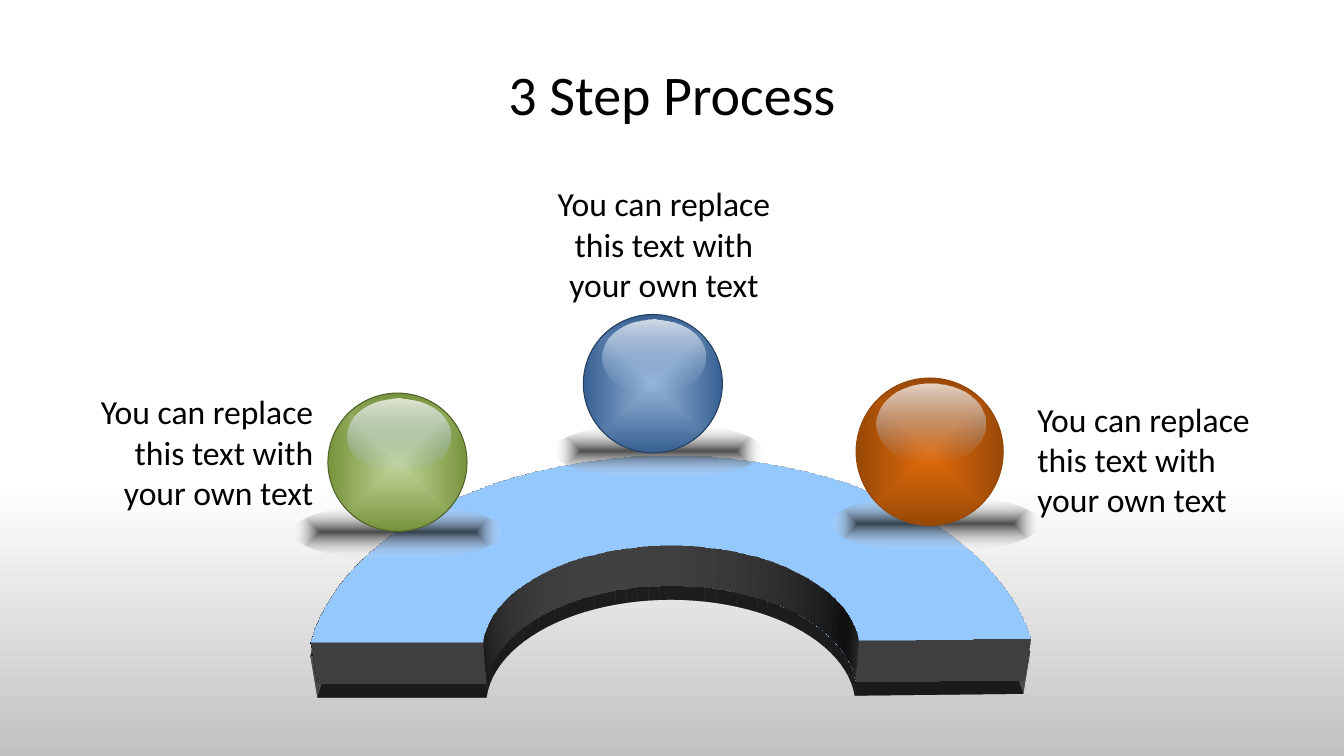
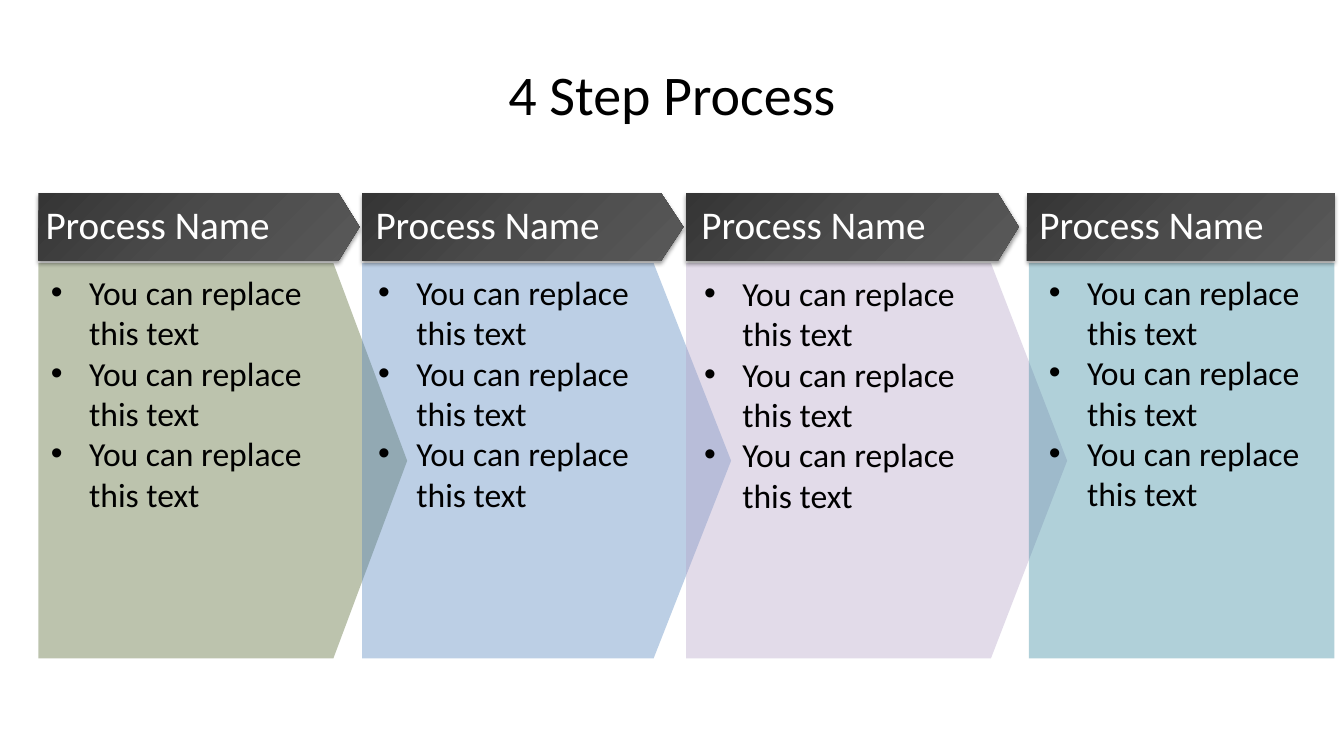
"""Build a two-slide deck of three-step and four-step process diagrams."""
from lxml import etree
from pptx import Presentation
from pptx import util as u
from pptx.dml.color import RGBColor
from pptx.enum import shapes, text
from pptx.oxml import ns

WIDTH, HEIGHT = u.Inches(13.333), u.Inches(7.5)
COL, ROW = WIDTH / 100, HEIGHT / 100
FONT = "Calibri"
COLORS = {
    "ink": "000000", "paper": "FFFFFF", "floor": "BFBFBF", "shade": "171717", "gloss": "8EB4E3",
    "arch": "4F81BD", "arch_line": "3A5F8C", "arch_wall": "7F7F7F",
    "bar_dark": "353535", "bar_mid": "4B4B4B", "bar_light": "595959",
    "orange": "E46C0A", "orange_rim": "984807",
    "green": "C3D69B", "green_rim": "77933C", "green_line": "4F6228",
    "blue": "95B3D7", "blue_rim": "376092", "blue_line": "254061",
    "olive": "4F6228", "azure": "4F81BD", "lilac": "B3A2C7", "teal": "31859C",
}
STEP_TEXT = "You can replace this text with your own text"
BULLET_TEXT = "You can replace this text"
STEPS = [
    {"ball": (24.4, 52, 10.35, 18.3), "shade": (21.8, 66.7), "tones": ("green", "green_rim", "green_line"),
     "caption": (6.25, 51.1, 17.8, 17.5), "align": "RIGHT"},
    {"ball": (63.7, 50, 10.95, 19.5), "shade": (61.8, 65.6), "tones": ("orange", "orange_rim", "orange_rim"),
     "caption": (76.45, 52.05, 19.3, 17.5), "align": "LEFT"},
    {"ball": (43.4, 41.6, 10.35, 18.3), "shade": (41.2, 56), "tones": ("blue", "blue_rim", "blue_line"),
     "caption": (39.45, 23.6, 19.9, 17.5), "align": "CENTER"},
]
STAGES = [
    {"panel": (2.85, 27.45, 0.2), "bar": (2.85, 23.9, 0.31), "name": 2.65, "list": (3.05, 35.3), "color": "olive"},
    {"panel": (26.95, 27.45, 0.21), "bar": (26.95, 23.9, 0.33), "name": 27.2, "list": (27.4, 35.3), "color": "azure"},
    {"panel": (51.05, 28.35, 0.2), "bar": (51.05, 24.75, 0.31), "name": 51.45, "list": (51.65, 35.45),
     "color": "lilac"},
    {"panel": (76.55, 22.75, 0), "bar": (76.4, 22.9, 0), "name": 76.6, "list": (77.3, 35.25), "color": "teal"},
]


def place(left, top, width, height):
    """Turn columns and rows of the slide grid into lengths."""
    return [u.Emu(round(n * unit)) for n, unit in ((left, COL), (top, ROW), (width, COL), (height, ROW))]


def child(parent, tag, **attributes):
    """Add a drawing element with the given attributes."""
    return etree.SubElement(parent, ns.qn("a:" + tag), {k: str(v) for k, v in attributes.items()})


def add_color(parent, color, alpha=100):
    """Add a colour element, with its opacity in percent."""
    tone = child(parent, "srgbClr", val=COLORS[color])
    if alpha < 100:
        child(tone, "alpha", val=alpha * 1000)


def paint(shape, color, alpha=100, line=None, weight=0.75):
    """Give a shape a flat fill and an optional outline."""
    shape.shadow.inherit = False
    shape.fill.solid()
    shape.fill.fore_color.rgb = RGBColor.from_string(COLORS[color])
    solid = shape._element.spPr.find(ns.qn("a:solidFill"))
    solid.clear()
    add_color(solid, color, alpha)
    if line:
        shape.line.color.rgb = RGBColor.from_string(COLORS[line])
        shape.line.width = u.Pt(weight)
    else:
        shape.line.fill.background()


def blend(shape, stops, angle=None, line=None):
    """Give a shape a linear gradient, or one from its centre without an angle."""
    paint(shape, stops[0][1], line=line)
    properties = shape._element.spPr
    gradient = etree.Element(ns.qn("a:gradFill"), rotWithShape="1")
    stop_list = child(gradient, "gsLst")
    for position, color, alpha in stops:
        add_color(child(stop_list, "gs", pos=position * 1000), color, alpha)
    if angle is None:
        burst = child(gradient, "path", path="shape")
        child(burst, "fillToRect", l=50000, t=50000, r=50000, b=50000)
    else:
        child(gradient, "lin", ang=angle * 60000, scaled=0)
    properties.replace(properties.find(ns.qn("a:solidFill")), gradient)


def drop_shadow(shape, alpha, blur, distance):
    """Add a soft shadow just below a shape."""
    effects = shape._element.spPr.find(ns.qn("a:effectLst"))
    shadow = child(effects, "outerShdw", blurRad=u.Pt(blur), dist=u.Pt(distance), dir=5400000, rotWithShape=0)
    add_color(shadow, "ink", alpha)


def extrude(shape, tilt, depth, color):
    """Tilt a shape backwards in perspective and give it a thickness in points."""
    properties = shape._element.spPr
    scene = child(properties, "scene3d")
    camera = child(scene, "camera", prst="perspectiveRelaxed")
    child(camera, "rot", lat=(360 - tilt) * 60000, lon=0, rev=0)
    child(scene, "lightRig", rig="threePt", dir="t")
    solid = child(properties, "sp3d", extrusionH=u.Pt(depth))
    add_color(child(solid, "extrusionClr"), color)


def add_preset(slide, kind, *area, adjust=()):
    """Add a preset shape on the slide grid."""
    shape = slide.shapes.add_shape(getattr(shapes.MSO_SHAPE, kind), *place(*area))
    for index, value in enumerate(adjust):
        shape.adjustments[index] = value
    return shape


def write(slide, area, lines, size=24, color="ink", align="LEFT", anchor="TOP", bullet=None):
    """Add a text box holding one paragraph for each line."""
    frame = slide.shapes.add_textbox(*place(*area)).text_frame
    frame.word_wrap = True
    frame.vertical_anchor = getattr(text.MSO_ANCHOR, anchor)
    for index, line in enumerate(lines):
        paragraph = frame.add_paragraph() if index else frame.paragraphs[0]
        paragraph.alignment = getattr(text.PP_ALIGN, align)
        if bullet:
            properties = paragraph._p.get_or_add_pPr()
            indent = u.Inches(0.38)
            properties.set("marL", str(indent))
            properties.set("indent", str(-indent))
            child(properties, "buFont", typeface="Arial")
            child(properties, "buChar", char=bullet)
        run = paragraph.add_run()
        run.text = line
        run.font.name, run.font.size = FONT, u.Pt(size)
        run.font.color.rgb = RGBColor.from_string(COLORS[color])


def new_slide(deck, title):
    """Add a blank slide with the shared title style."""
    slide = deck.slides.add_slide(deck.slide_layouts[6])
    write(slide, (5, 4, 90, 16.67), [title], size=40, align="CENTER", anchor="MIDDLE")
    return slide


def add_floor(slide):
    """Draw the floor fading upwards into the background."""
    floor = add_preset(slide, "RECTANGLE", 0, 61.5, 100, 39.6)
    blend(floor, [(0, "floor", 100), (93, "paper", 100)], angle=270)


def add_arch(slide):
    """Draw the thick half ring lying on the floor."""
    arch = add_preset(slide, "BLOCK_ARC", 23.1, 41.07, 53.63, 87.73, adjust=(108, 215.46, 0.26))
    paint(arch, "arch", line="arch_line", weight=2)
    drop_shadow(arch, 40, 20, 10)
    extrude(arch, 55, 40, "arch_wall")


def add_ball(slide, ball, shade, tones):
    """Draw a glossy ball above its ground shadow."""
    left, top, width, height = ball
    core, rim, line = tones
    ground = add_preset(slide, "OVAL", *shade, 15.6, 7.33)
    blend(ground, [(0, "shade", 76), (100, "paper", 0)])
    blend(add_preset(slide, "OVAL", *ball), [(0, core, 100), (100, rim, 100)], line=line)
    gloss = add_preset(slide, "OVAL", left + 0.14 * width, top + 0.04 * height, 0.74 * width, 0.54 * height)
    blend(gloss, [(0, "paper", 77), (100, "gloss", 0)], angle=90)


def add_stage(slide, stage):
    """Draw one process column with its heading bar and bullets."""
    left, width, tip = stage["panel"]
    if tip:
        panel = add_preset(slide, "PENTAGON", left, 34.8, width, 52.3, adjust=(tip,))
    else:
        panel = add_preset(slide, "RECTANGLE", left, 34.8, width, 52.3)
    paint(panel, stage["color"], alpha=38)
    left, width, tip = stage["bar"]
    bar = add_preset(slide, "PENTAGON", left, 25.55, width, 8.93, adjust=(tip,))
    blend(bar, [(0, "bar_dark", 100), (50, "bar_mid", 100), (100, "bar_light", 100)], angle=45)
    drop_shadow(bar, 38, 3.1, 1.6)
    write(slide, (*stage["list"], 22.7, 51.5), [BULLET_TEXT] * 3, bullet="•")
    write(slide, (stage["name"], 25.85, 23.4, 7.6), ["Process Name"], size=28, color="paper")


def build_three_steps(deck):
    """Build the slide with three balls around an arch."""
    slide = new_slide(deck, "3 Step Process")
    add_floor(slide)
    add_arch(slide)
    for step in STEPS:
        add_ball(slide, step["ball"], step["shade"], step["tones"])
        write(slide, step["caption"], [STEP_TEXT], align=step["align"])


def build_four_steps(deck):
    """Build the slide with four process columns."""
    slide = new_slide(deck, "4 Step Process")
    for stage in STAGES:
        add_stage(slide, stage)


def main():
    """Build and save the deck."""
    deck = Presentation()
    deck.slide_width, deck.slide_height = WIDTH, HEIGHT
    build_three_steps(deck)
    build_four_steps(deck)
    deck.save("out.pptx")


if __name__ == "__main__":
    main()
